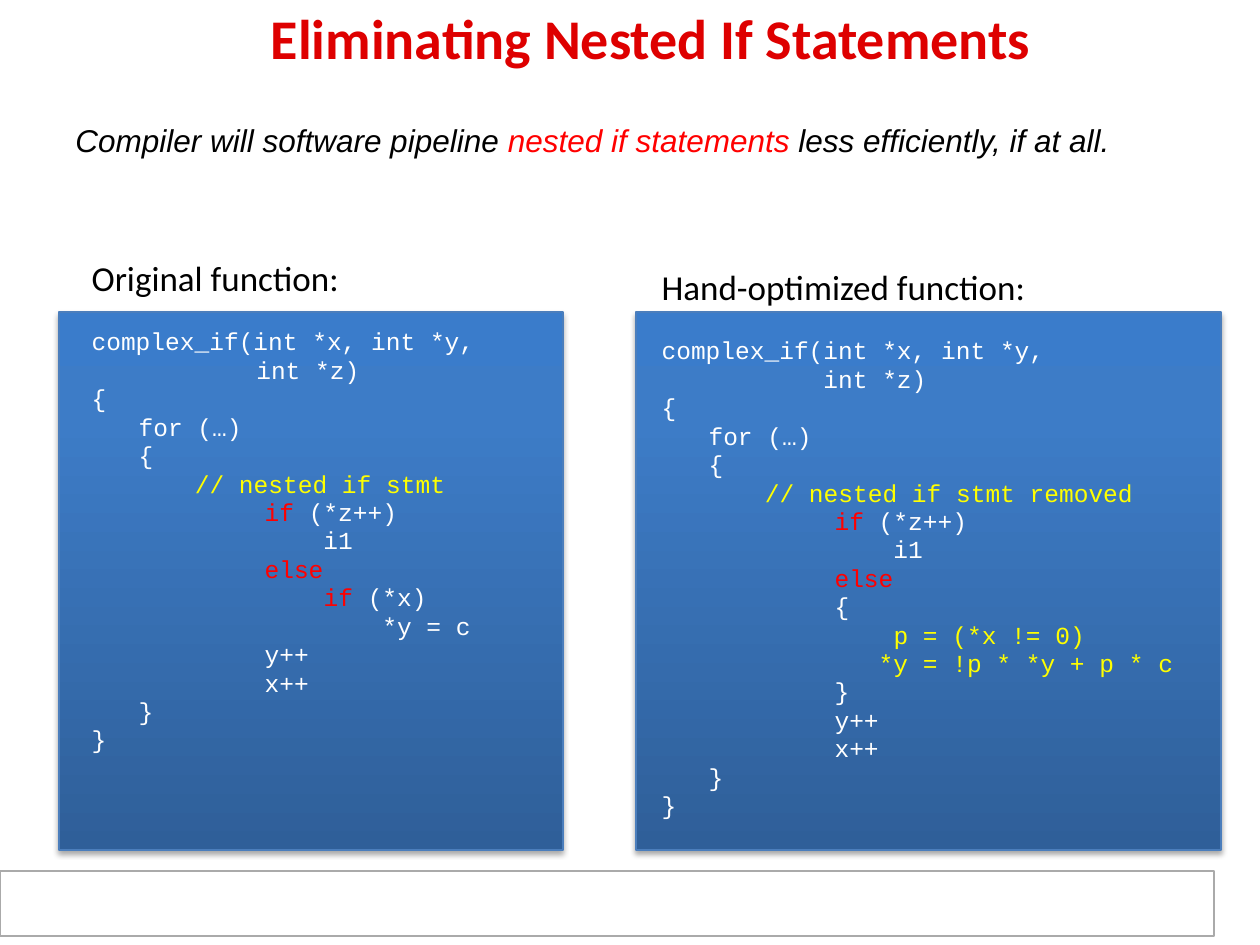
"""Builds the slide comparing a nested if statement with its hand-optimized form."""
from pptx import Presentation
from pptx.dml.color import RGBColor
from pptx.enum.shapes import MSO_SHAPE
from pptx.enum.text import MSO_ANCHOR, MSO_AUTO_SIZE, PP_ALIGN
from pptx.oxml import parse_xml
from pptx.oxml.ns import nsdecls, qn
from pptx.util import Emu, Pt
from copy import deepcopy

COLORS = {"title": "DE0000", "text": "000000", "code": "FFFFFF", "key": "FF0000",
          "note": "FFFF00", "edge": "4B7EBC", "footer": "FFFFFF", "footer_edge": "AAAAAA"}
PANEL_STOPS = [(0, "2F5F99"), (0.8, "3D7CC7"), (1, "3A7CCB")]

TITLE = "Eliminating Nested If Statements"
SUMMARY = [("Compiler will software pipeline ", "text"), ("nested if statements ", "key"),
           ("less efficiently, if at all.", "text")]

LOOP_START = [[("{", "code")], [("\tfor (…)", "code")], [("\t{", "code")]]
IF_START = [[("\t  \t", "code"), ("if", "key"), (" (*z++)", "code")],
            [("\t \t    i1", "code")],
            [("\t  \t", "code"), ("else", "key")]]
LOOP_END = [[("\t\ty++", "code")], [("\t\tx++", "code")], [("\t}", "code")], [("}", "code")]]
SIGNATURE = [("complex_if(int *x, int *y,", "code")]

FUNCTIONS = [
    {"heading": "Original function:", "body": (79, 258, 557, 624), "panel": (59, 312, 504, 538),
     "code": [SIGNATURE, [("\t        int *z)", "code")], *LOOP_START,
              [("       ", "code"), ("// nested if stmt", "note")], *IF_START,
              [("\t\t    ", "code"), ("if", "key"), (" (*x)", "code")],
              [("\t\t        *y = c", "code")], *LOOP_END]},
    {"heading": "Hand-optimized function:", "body": (649, 267, 611, 646),
     "panel": (636, 312, 585, 538),
     "code": [SIGNATURE, [("           int *z)", "code")], *LOOP_START,
              [("       ", "code"), ("// nested if stmt removed", "note")], *IF_START,
              [("\t\t{", "code")], [("\t\t    ", "code"), ("p = (*x != 0)", "note")],
              [("\t\t   *y = !p * *y + p * c", "note")], [("\t\t}", "code")], *LOOP_END]},
]


def px(value):
    return Emu(round(value * 914400 / 126))


def place(shape, box):
    shape.left, shape.top, shape.width, shape.height = map(px, box)


def style(font, face, size, color, **flags):
    font.name, font.size, font.color.rgb = face, Pt(size), RGBColor.from_string(COLORS[color])
    for flag, value in flags.items():
        setattr(font, flag, value)


def write_runs(paragraph, parts, face, size, **flags):
    for text, color in parts:
        run = paragraph.add_run()
        run.text = text
        style(run.font, face, size, color, **flags)


def add_backdrop(slide, box, edge):
    backdrop = slide.shapes.add_shape(MSO_SHAPE.RECTANGLE, *map(px, box))
    backdrop.shadow.inherit = False
    backdrop.line.color.rgb = RGBColor.from_string(COLORS[edge])
    backdrop.line.width = Pt(0.75)
    slide.shapes._spTree.insert(2, backdrop._element)
    return backdrop


def add_panel(slide, box):
    panel = add_backdrop(slide, box, "edge")
    panel.fill.gradient()
    panel.fill.gradient_angle = 90
    stops = panel._element.spPr.find(qn("a:gradFill")).find(qn("a:gsLst"))
    stops.append(deepcopy(stops[-1]))
    for stop, (position, color) in zip(panel.fill.gradient_stops, PANEL_STOPS):
        stop.position, stop.color.rgb = position, RGBColor.from_string(color)
    panel._element.spPr.find(qn("a:effectLst")).append(parse_xml(
        f'<a:outerShdw {nsdecls("a")} blurRad="39370" dist="22860" dir="5400000" rotWithShape="0">'
        '<a:srgbClr val="000000"><a:alpha val="35000"/></a:srgbClr></a:outerShdw>'))


def format_code_paragraph(paragraph, space_before):
    properties = paragraph._p.get_or_add_pPr()
    properties.set("marL", str(px(47)))
    properties.set("indent", str(-px(47)))
    properties.set("defTabSz", str(px(126)))
    properties.append(parse_xml(f'<a:buNone {nsdecls("a")}/>'))
    paragraph.line_spacing = 0.8
    paragraph.space_before = Pt(space_before)


def fill_function(body, function):
    place(body, function["body"])
    frame = body.text_frame
    frame.auto_size = MSO_AUTO_SIZE.NONE
    heading = frame.paragraphs[0]
    format_code_paragraph(heading, 0)
    write_runs(heading, [(function["heading"], "text")], "Calibri", 20)
    for number, parts in enumerate(function["code"]):
        line = frame.add_paragraph()
        format_code_paragraph(line, 2.8 if number else 19.5)
        write_runs(line, parts, "Courier New", 14)


def main():
    deck = Presentation()
    deck.slide_width, deck.slide_height = px(1260), px(945)
    slide = deck.slides.add_slide(deck.slide_layouts[3])
    title, *bodies = slide.placeholders

    place(title, (42, 0, 1218, 74))
    title.text_frame.text = TITLE
    title.text_frame.auto_size = MSO_AUTO_SIZE.NONE
    title.text_frame.vertical_anchor = MSO_ANCHOR.MIDDLE
    heading = title.text_frame.paragraphs[0]
    heading.alignment = PP_ALIGN.CENTER
    style(heading.runs[0].font, "Calibri", 32, "title", bold=True)

    for body, function in zip(bodies, FUNCTIONS):
        fill_function(body, function)
        add_panel(slide, function["panel"])

    footer = add_backdrop(slide, (0, 871, 1214, 65), "footer_edge")
    footer.fill.solid()
    footer.fill.fore_color.rgb = RGBColor.from_string(COLORS["footer"])

    summary = slide.shapes.add_textbox(*map(px, (63, 115, 1164, 51))).text_frame
    summary.word_wrap = True
    summary.auto_size = MSO_AUTO_SIZE.SHAPE_TO_FIT_TEXT
    write_runs(summary.paragraphs[0], SUMMARY, "Arial", 18, italic=True)

    deck.save("out.pptx")


if __name__ == "__main__":
    main()
